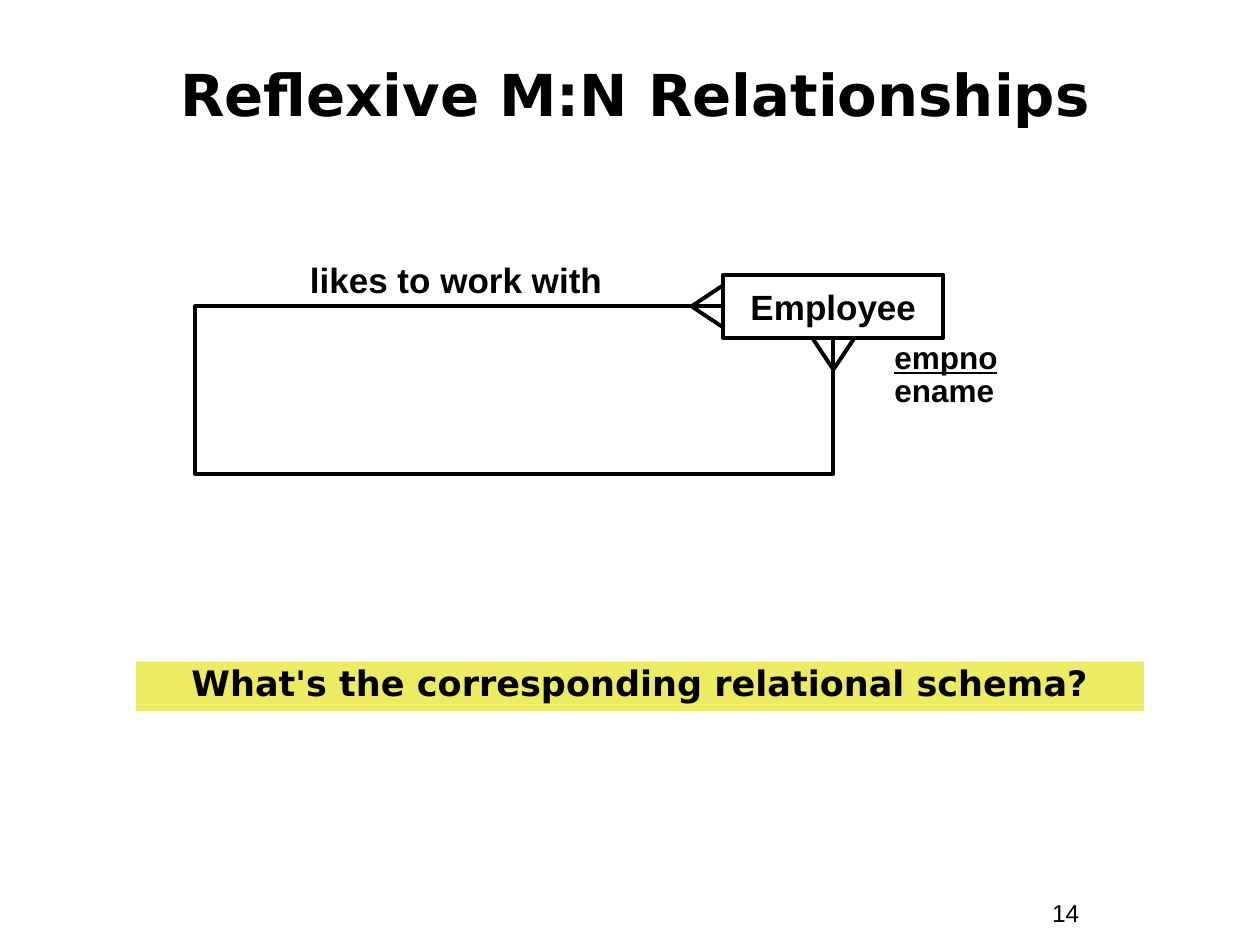
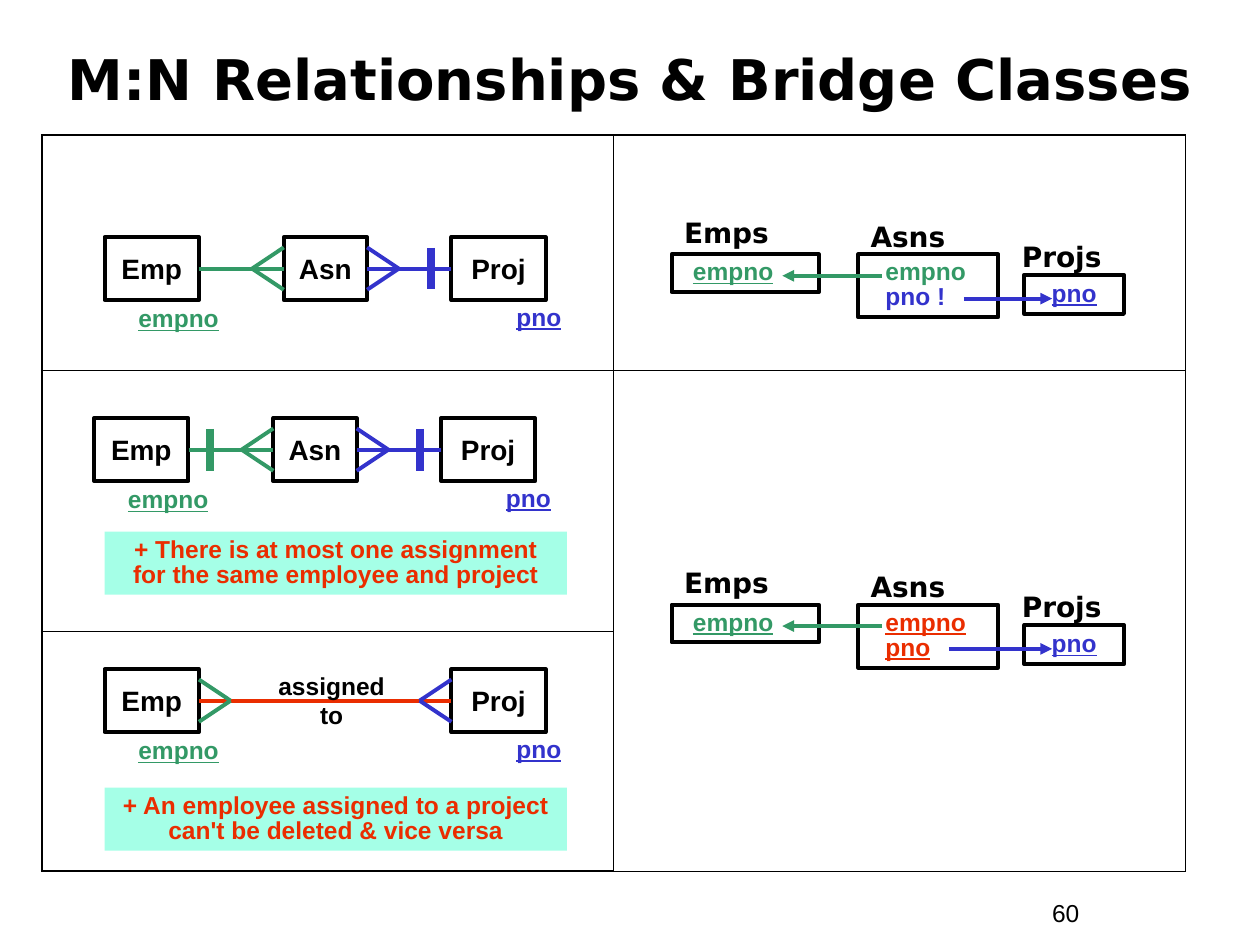
from dataclasses import dataclass
from typing import NamedTuple

from lxml.etree import SubElement
from pptx import Presentation
from pptx.dml.color import RGBColor
from pptx.enum.shapes import MSO_CONNECTOR, MSO_SHAPE
from pptx.enum.text import MSO_ANCHOR, PP_ALIGN
from pptx.oxml.ns import qn
from pptx.util import Cm, Pt

COLORS = {
    "black": "000000",
    "green": "339966",
    "blue": "3333CC",
    "red": "EA2D00",
    "yellow": "EDEA63",
    "mint": "A5FFE7",
}
BODY_FONT = "Arial"
HEADING_FONT = "DejaVu Sans"
LINE_WIDTH = 2.25
BAR_WIDTH = 4.5
ENTITY_HEIGHT = 1.27
FOOT_LENGTH = 0.64
FOOT_SPREAD = 2 / 3


class Frame(NamedTuple):
    left: float
    top: float
    width: float
    height: float


class Point(NamedTuple):
    x: float
    y: float


@dataclass
class Attribute:
    name: str
    color: str
    underline: bool = True


@dataclass
class Relation:
    name: str
    label_left: float
    label_rise: float
    box: Frame
    indent: float
    spacing: float
    attributes: list[Attribute]


@dataclass
class EntityRow:
    left: float
    top: float
    bars: list[tuple[float, str]]
    has_bridge: bool = True


@dataclass
class Schema:
    top: float
    asn_attributes: list[Attribute]
    pno_arrow_start: float


def rgb(color: str) -> RGBColor:
    return RGBColor.from_string(COLORS[color])


def write(shape, text: str, *, size: float, font: str = BODY_FONT, color: str = "black",
          bold: bool = True, underline: bool = False, align=PP_ALIGN.LEFT,
          anchor=MSO_ANCHOR.TOP, spacing: float = 1.0, wrap: bool = True,
          indent: float = 0.0):
    text_frame = shape.text_frame
    text_frame.word_wrap = wrap
    text_frame.vertical_anchor = anchor
    text_frame.margin_left = Cm(0.25 + indent)
    text_frame.margin_right = Cm(0.25)
    text_frame.margin_top = text_frame.margin_bottom = Cm(0.13)
    paragraph = text_frame.paragraphs[0]
    if paragraph.runs:
        paragraph = text_frame.add_paragraph()
    paragraph.alignment = align
    paragraph.line_spacing = spacing
    run = paragraph.add_run()
    run.text = text
    run.font.name = font
    run.font.size = Pt(size)
    run.font.bold = bold
    run.font.underline = underline
    run.font.color.rgb = rgb(color)


def add_text_area(slide, frame: Frame):
    return slide.shapes.add_textbox(*map(Cm, frame))


def add_box(slide, frame: Frame, fill: str | None = None):
    box = slide.shapes.add_shape(MSO_SHAPE.RECTANGLE, *map(Cm, frame))
    box.shadow.inherit = False
    if fill:
        box.fill.solid()
        box.fill.fore_color.rgb = rgb(fill)
        box.line.fill.background()
    else:
        box.fill.background()
        box.line.color.rgb = rgb("black")
        box.line.width = Pt(LINE_WIDTH)
    return box


def add_line(slide, start: Point, end: Point, color: str,
             width: float = LINE_WIDTH, arrow: bool = False):
    line = slide.shapes.add_connector(MSO_CONNECTOR.STRAIGHT, *map(Cm, start + end))
    line.line.color.rgb = rgb(color)
    line.line.width = Pt(width)
    if arrow:
        SubElement(line.line._get_or_add_ln(), qn("a:tailEnd"), type="triangle")
    SubElement(line._element.spPr, qn("a:effectLst"))
    return line


def join(slide, first, second, color: str) -> None:
    line = add_line(slide, Point(0, 0), Point(1, 1), color)
    line.begin_connect(first, 3)
    line.end_connect(second, 1)


def add_crow_foot(slide, base: Point, dx: int, dy: int, color: str) -> None:
    tip = Point(base.x + dx * FOOT_LENGTH, base.y + dy * FOOT_LENGTH)
    spread = FOOT_LENGTH * FOOT_SPREAD
    for side in (-1, 1):
        toe = Point(base.x + side * dy * spread, base.y + side * dx * spread)
        add_line(slide, tip, toe, color)


def add_entity(slide, name: str, frame: Frame, size: float = 16):
    entity = add_box(slide, frame)
    write(entity, name, size=size, align=PP_ALIGN.CENTER, anchor=MSO_ANCHOR.MIDDLE, wrap=False)
    return entity


def add_note(slide, text: str, frame: Frame, fill: str, **text_format) -> None:
    write(add_box(slide, frame, fill), text, align=PP_ALIGN.CENTER, spacing=0.85, **text_format)


def start_slide(deck, title: str, frame: Frame, number: str, size: float,
                spacing: float = 1.0):
    slide = deck.slides.add_slide(deck.slide_layouts[6])
    write(add_text_area(slide, Frame(20.96, 17.98, 2.34, 0.86)), number, size=14, bold=False)
    write(add_text_area(slide, frame), title, size=size, font=HEADING_FONT,
          align=PP_ALIGN.CENTER, anchor=MSO_ANCHOR.MIDDLE, spacing=spacing)
    return slide


def add_grid(slide) -> None:
    columns, rows = [11.53, 11.53], [4.75, 5.26, 4.83]
    grid = slide.shapes.add_table(len(rows), len(columns), Cm(0.84), Cm(2.72),
                                  Cm(sum(columns)), Cm(sum(rows))).table
    grid.first_row = grid.horz_banding = False
    for column, width in zip(grid.columns, columns):
        column.width = Cm(width)
    for row, height in zip(grid.rows, rows):
        row.height = Cm(height)
    grid.cell(1, 1).merge(grid.cell(2, 1))
    for r in range(len(rows)):
        for c in range(len(columns)):
            cell = grid.cell(r, c)
            properties = cell._tc.get_or_add_tcPr()
            outer_sides = {"L": c == 0, "R": c == len(columns) - 1,
                           "T": r == 0, "B": r == len(rows) - 1}
            for side, outer in outer_sides.items():
                width = Pt(1.08 if outer else 0.45)
                border = SubElement(properties, qn(f"a:ln{side}"), w=str(width))
                fill = SubElement(border, qn("a:solidFill"))
                SubElement(fill, qn("a:srgbClr"), val=COLORS["black"])
            cell.fill.background()


def add_entity_row(slide, row: EntityRow) -> None:
    left, top = row.left, row.top
    middle = top + ENTITY_HEIGHT / 2
    emp_right, asn_left, asn_right, proj_left = (left + x for x in (1.9, 3.61, 5.29, 6.99))
    emp = add_entity(slide, "Emp", Frame(left, top, 1.9, ENTITY_HEIGHT))
    proj = add_entity(slide, "Proj", Frame(proj_left, top, 1.9, ENTITY_HEIGHT))
    if row.has_bridge:
        asn = add_entity(slide, "Asn", Frame(asn_left, top, 1.68, ENTITY_HEIGHT))
        join(slide, emp, asn, "green")
        join(slide, asn, proj, "blue")
        feet = [(asn_left, -1, "green"), (asn_right, 1, "blue")]
    else:
        join(slide, emp, proj, "red")
        feet = [(emp_right, 1, "green"), (proj_left, -1, "blue")]
    for x, direction, color in feet:
        add_crow_foot(slide, Point(x, middle), direction, 0, color)
    for offset, color in row.bars:
        x = left + offset
        add_line(slide, Point(x, middle - 0.42), Point(x, middle + 0.42), color, BAR_WIDTH)
    for key, offset, drop, width, color in (("empno", 0.43, 1.27, 2.97, "green"),
                                            ("pno", 8.05, 1.24, 1.9, "blue")):
        write(add_text_area(slide, Frame(left + offset, top + drop, width, 0.79)), key,
              size=14, color=color, underline=True, spacing=0.9)


def add_schema(slide, schema: Schema) -> None:
    top = schema.top
    relations = [
        Relation("Emps", 13.54, 0.91, Frame(13.54, top, 2.97, 0.76), 0.18, 0.85,
                 [Attribute("empno", "green")]),
        Relation("Asns", 17.3, 0.84, Frame(17.3, top, 2.82, 1.27), 0.3, 0.85,
                 schema.asn_attributes),
        Relation("Projs", 20.35, 0.43, Frame(20.65, top + 0.41, 2.01, 0.79), 0.3, 0.9,
                 [Attribute("pno", "blue")]),
    ]
    for relation in relations:
        label = Frame(relation.label_left, top - relation.label_rise, 2.92, 0.94)
        write(add_text_area(slide, label), relation.name, size=16, font=HEADING_FONT)
        box = add_box(slide, relation.box)
        for attribute in relation.attributes:
            write(box, attribute.name, size=14, color=attribute.color,
                  underline=attribute.underline, spacing=relation.spacing,
                  indent=relation.indent)
    add_line(slide, Point(17.78, top + 0.43), Point(15.77, top + 0.43), "green", arrow=True)
    add_line(slide, Point(schema.pno_arrow_start, top + 0.89), Point(21.21, top + 0.89),
             "blue", arrow=True)


def build_reflexive_slide(deck) -> None:
    slide = start_slide(deck, "Reflexive M:N Relationships", Frame(0.84, 0.84, 23.93, 2.34),
                        "14", size=33, spacing=0.8)
    employee = Frame(14.58, 5.54, 4.44, ENTITY_HEIGHT)
    middle = Point(employee.left + employee.width / 2, employee.top + employee.height / 2)
    bottom = employee.top + employee.height
    add_entity(slide, "Employee", employee, size=20)

    corners = [(employee.left, middle.y), (3.94, middle.y), (3.94, 9.55),
               (middle.x, 9.55), (middle.x, bottom)]
    start, *rest = [(Cm(x), Cm(y)) for x, y in corners]
    builder = slide.shapes.build_freeform(*start)
    builder.add_line_segments(rest, close=False)
    relationship = builder.convert_to_shape()
    relationship.shadow.inherit = False
    relationship.fill.background()
    relationship.line.color.rgb = rgb("black")
    relationship.line.width = Pt(LINE_WIDTH)

    add_crow_foot(slide, Point(middle.x, bottom), 0, 1, "black")
    add_crow_foot(slide, Point(employee.left, middle.y), -1, 0, "black")
    write(add_text_area(slide, Frame(5.92, 5.08, 6.55, 1.12)), "likes to work with",
          size=20, align=PP_ALIGN.CENTER)
    add_note(slide, "What's the corresponding relational schema?",
             Frame(2.74, 13.34, 20.32, 0.99), "yellow", size=20, font=HEADING_FONT)
    attributes = add_text_area(slide, Frame(17.78, 6.83, 3.81, 1.55))
    write(attributes, "empno", size=18, underline=True, spacing=0.8)
    write(attributes, "ename", size=18, spacing=0.9)


def build_bridge_slide(deck) -> None:
    slide = start_slide(deck, "M:N Relationships & Bridge Classes",
                        Frame(0.43, 0.41, 24.56, 2.34), "60", size=32)
    add_grid(slide)
    schemas = [
        Schema(5.13, [Attribute("empno", "green", False), Attribute("pno !", "blue", False)],
               19.43),
        Schema(12.19, [Attribute("empno", "red"), Attribute("pno", "red")], 19.13),
    ]
    for schema in schemas:
        add_schema(slide, schema)
    entity_rows = [
        EntityRow(2.11, 4.78, [(6.57, "blue")]),
        EntityRow(1.9, 8.43, [(2.34, "green"), (6.57, "blue")]),
        EntityRow(2.11, 13.49, [], has_bridge=False),
    ]
    for row in entity_rows:
        add_entity_row(slide, row)
    assignment = add_text_area(slide, Frame(3.51, 13.39, 6.35, 1.45))
    for word in ("assigned", "to"):
        write(assignment, word, size=14, align=PP_ALIGN.CENTER)
    for top, text in (
        (10.72, "+ There is at most one assignment for the same employee and project"),
        (15.88, "+ An employee assigned to a project can't be deleted & vice versa"),
    ):
        add_note(slide, text, Frame(2.11, top, 9.32, 1.27), "mint", size=14, color="red")


def main() -> None:
    deck = Presentation()
    deck.slide_width, deck.slide_height = Cm(25.4), Cm(19.05)
    build_reflexive_slide(deck)
    build_bridge_slide(deck)
    deck.save("out.pptx")


if __name__ == "__main__":
    main()
